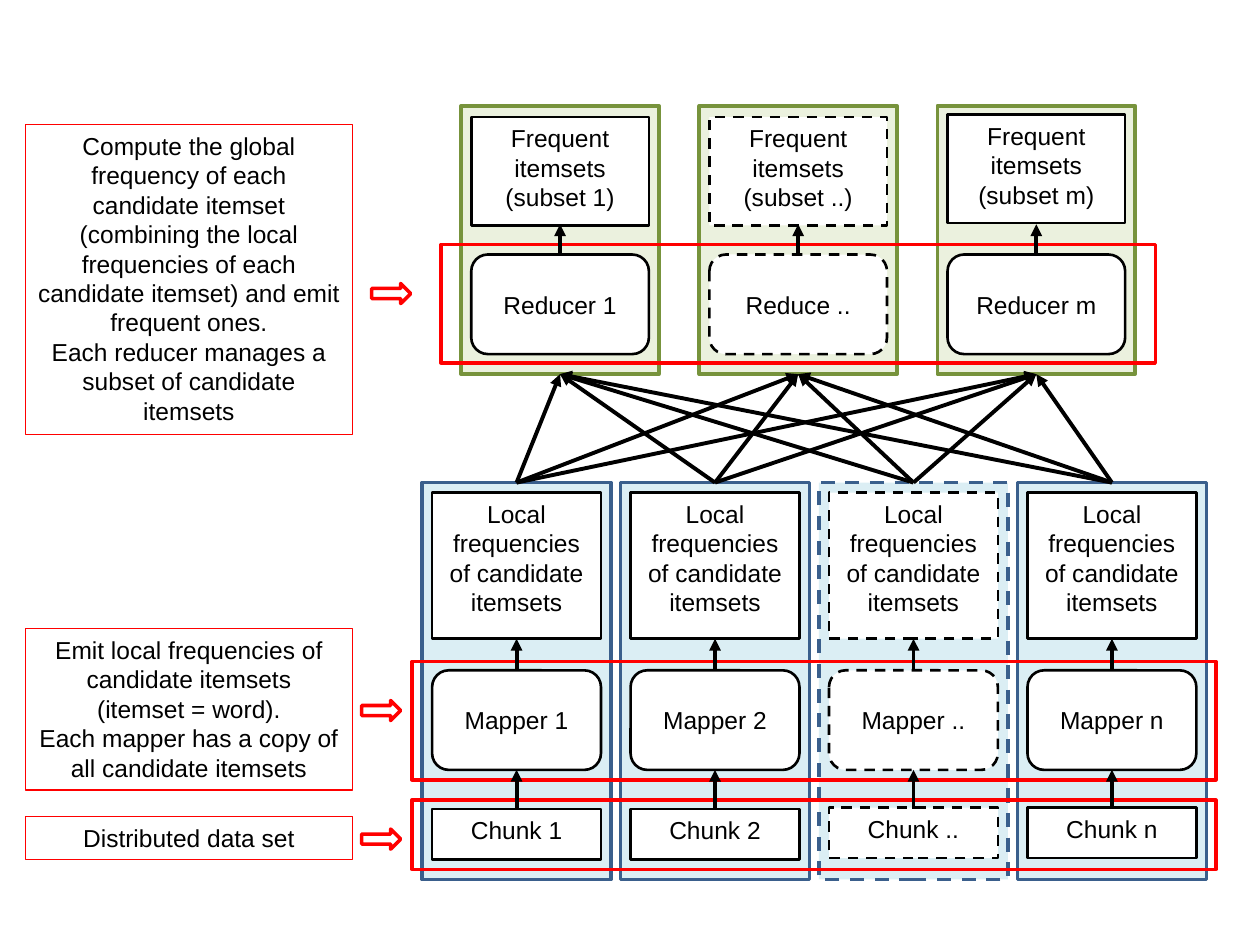
from dataclasses import dataclass
from itertools import product

from lxml.etree import SubElement
from pptx import Presentation
from pptx.dml.color import RGBColor
from pptx.enum.dml import MSO_LINE_DASH_STYLE as Dash
from pptx.enum.shapes import MSO_CONNECTOR as Connector, MSO_SHAPE as Shape
from pptx.enum.text import MSO_ANCHOR as Anchor, MSO_AUTO_SIZE as AutoSize, PP_ALIGN as Align
from pptx.oxml.ns import qn
from pptx.util import Inches, Pt

BLACK, WHITE, RED = "000000", "FFFFFF", "FF0000"
GREEN, PALE_GREEN = "77933C", "EBF1DE"
BLUE, PALE_BLUE = "3A5F8C", "DBEEF4"


@dataclass
class Stage:
    """A row of equal columns, each a panel holding stacked boxes."""

    left: float
    pitch: float
    width: float
    top: float
    height: float
    margin: float
    labels: tuple
    lifts: tuple

    def column(self, index):
        """Return the left edge of a column."""
        return self.left + index * self.pitch

    def centre(self, index):
        """Return the horizontal centre of a column."""
        return self.column(index) + self.width / 2


REDUCE = Stage(3.66, 1.89, 1.57, 0.84, 2.13, 0.08, ("1", "..", "m"), (0, 0, 0.02))
MAP = Stage(3.35, 1.575, 1.5, 3.83, 3.15, 0.08, ("1", "2", "..", "n"), (0, 0, 0.01, 0.01))


def colour(hex_text):
    """Turn a hex string into a colour."""
    return RGBColor.from_string(hex_text)


def add_box(slide, kind, area, line, weight, fill=None, dashed=False):
    """Add an outlined shape at left, top, width, height in inches."""
    box = slide.shapes.add_shape(kind, *map(Inches, area))
    box.shadow.inherit = False
    if fill:
        box.fill.solid()
        box.fill.fore_color.rgb = colour(fill)
    else:
        box.fill.background()
    box.line.color.rgb = colour(line)
    box.line.width = Pt(weight)
    if dashed:
        box.line.dash_style = Dash.DASH
    return box


def write(box, text, anchor=Anchor.TOP):
    """Write centred paragraphs, one for each line of the text."""
    frame = box.text_frame
    frame.text = text
    frame.word_wrap = True
    frame.vertical_anchor = anchor
    for paragraph in frame.paragraphs:
        paragraph.alignment = Align.CENTER
        paragraph.font.name = "Arial"
        paragraph.font.size = Pt(14)
        paragraph.font.color.rgb = colour(BLACK)


def add_arrow(slide, start, end):
    """Draw a black arrow between two points in inches."""
    arrow = slide.shapes.add_connector(Connector.STRAIGHT, *map(Inches, start + end))
    arrow.line.color.rgb = colour(BLACK)
    arrow.line.width = Pt(2.25)
    SubElement(arrow.line._get_or_add_ln(), qn("a:tailEnd"), type="triangle")
    SubElement(arrow._element.spPr, qn("a:effectLst"))


def add_panels(slide, stage, line, fill, dash_open=False):
    """Add the tinted panel behind each column."""
    for index, label in enumerate(stage.labels):
        area = (stage.column(index), stage.top, stage.width, stage.height)
        add_box(slide, Shape.RECTANGLE, area, line, 2, fill, dash_open and label == "..")


def add_row(slide, stage, captions, top, height, rounded=False, lifted=False):
    """Add one captioned box per column."""
    kind = Shape.ROUNDED_RECTANGLE if rounded else Shape.RECTANGLE
    anchor = Anchor.MIDDLE if rounded else Anchor.TOP
    for index, caption in enumerate(captions):
        lift = stage.lifts[index] if lifted else 0
        area = (stage.column(index) + stage.margin, top - lift,
                stage.width - 2 * stage.margin, height)
        box = add_box(slide, kind, area, BLACK, 1.5, WHITE, stage.labels[index] == "..")
        write(box, caption, anchor)


def add_rises(slide, stage, bottom, top):
    """Add an upward arrow in every column."""
    for index in range(len(stage.labels)):
        x = stage.centre(index)
        add_arrow(slide, (x, bottom), (x, top))


def add_note(slide, text, top, height, pointer_left, pointer_top):
    """Add a red explanatory note and the block arrow beside it."""
    note = add_box(slide, Shape.RECTANGLE, (0.2, top, 2.6, height), RED, 0.75)
    write(note, text)
    note.text_frame.auto_size = AutoSize.SHAPE_TO_FIT_TEXT
    add_box(slide, Shape.RIGHT_ARROW, (pointer_left, pointer_top, 0.31, 0.16), RED, 2, WHITE)


def main():
    """Build the slide on mappers and reducers."""
    deck = Presentation()
    deck.slide_width, deck.slide_height = Inches(10), Inches(7.5)
    slide = deck.slides.add_slide(deck.slide_layouts[6])

    add_panels(slide, REDUCE, GREEN, PALE_GREEN)
    add_panels(slide, MAP, BLUE, PALE_BLUE, dash_open=True)

    subsets = [f"Frequent itemsets (subset {label})" for label in REDUCE.labels]
    add_row(slide, REDUCE, subsets, 0.93, 0.86, lifted=True)
    add_row(slide, REDUCE, ("Reducer 1", "Reduce ..", "Reducer m"), 2.02, 0.79, rounded=True)
    local = ["Local frequencies of candidate itemsets"] * len(MAP.labels)
    add_row(slide, MAP, local, 3.91, 1.16)
    add_row(slide, MAP, [f"Mapper {label}" for label in MAP.labels], 5.32, 0.79, rounded=True)
    add_row(slide, MAP, [f"Chunk {label}" for label in MAP.labels], 6.42, 0.4, lifted=True)

    for band in ((3.5, 1.94, 5.67, 0.94), (3.27, 5.25, 6.38, 0.94), (3.27, 6.35, 6.38, 0.55)):
        add_box(slide, Shape.RECTANGLE, band, RED, 2)

    add_rises(slide, MAP, 6.42, 6.11)
    add_rises(slide, MAP, 5.32, 5.07)
    add_rises(slide, REDUCE, 2.02, 1.78)
    for source, target in product(range(len(MAP.labels)), range(len(REDUCE.labels))):
        add_arrow(slide, (MAP.centre(source), MAP.top),
                  (REDUCE.centre(target), REDUCE.top + REDUCE.height))

    add_note(slide, "Compute the global frequency of each candidate itemset (combining the "
             "local frequencies of each candidate itemset) and emit frequent ones.\n"
             "Each reducer manages a subset of candidate itemsets", 0.99, 2.46, 2.95, 2.25)
    add_note(slide, "Emit local frequencies of candidate itemsets\n(itemset = word).\n"
             "Each mapper has a copy of all candidate itemsets", 4.99, 1.28, 2.87, 5.56)
    add_note(slide, "Distributed data set", 6.48, 0.34, 2.87, 6.58)
    deck.save("out.pptx")


main()
